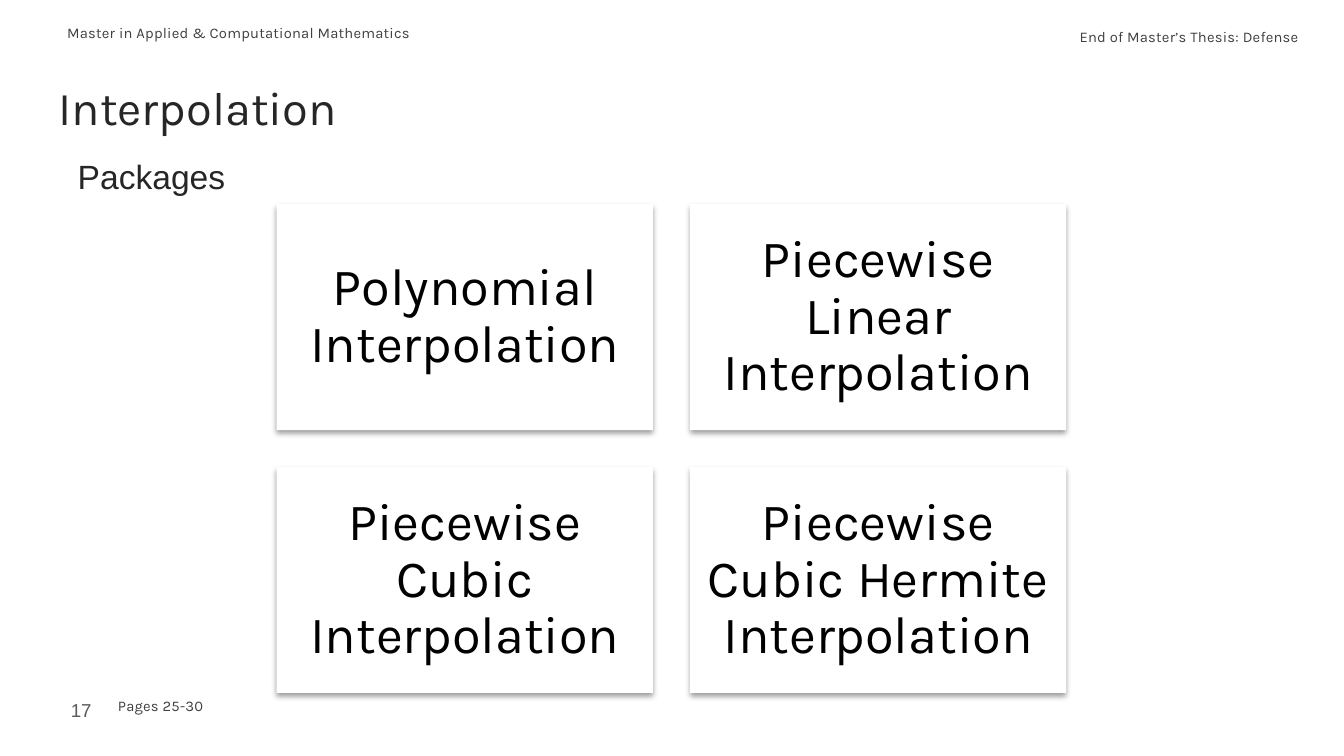
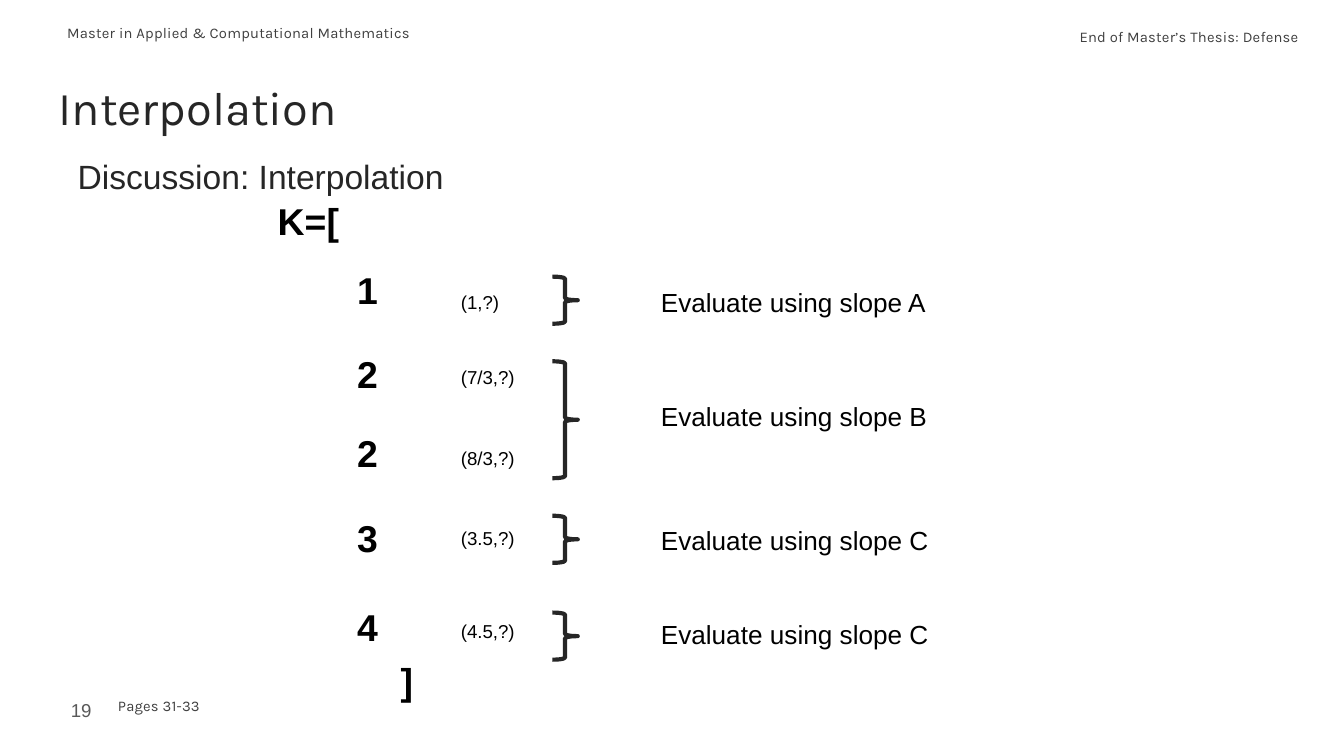
import dataclasses
import itertools

import pptx
import pptx.dml.color
import pptx.enum.shapes
import pptx.enum.text
import pptx.oxml
import pptx.oxml.ns
import pptx.presentation
import pptx.shapes.autoshape
import pptx.slide
import pptx.util

Cm = pptx.util.Cm
Pt = pptx.util.Pt
Align = pptx.enum.text.PP_ALIGN
Anchor = pptx.enum.text.MSO_ANCHOR
Preset = pptx.enum.shapes.MSO_SHAPE


@dataclasses.dataclass(frozen=True)
class TextStyle:
    size: float
    colour: str = "000000"
    font: str = "Arial"
    bold: bool = False
    tracking: float = 0
    align: Align = Align.LEFT
    anchor: Anchor = Anchor.TOP
    inset_x: float = 0.25
    inset_y: float = 0.13
    line_spacing: float = 1.0
    grow: bool = True


# Colours and type sizes
@dataclasses.dataclass(frozen=True)
class Theme:
    paper: str = "FFFFFF"
    ink: str = "262626"
    brace_width: float = 2.25
    running: TextStyle = TextStyle(7.9, "404040", "Karla", tracking=0.1, inset_y=0.25)
    running_right: TextStyle = TextStyle(7.9, "404040", "Karla", tracking=0.1,
                                         align=Align.RIGHT, inset_x=0, inset_y=0)
    number: TextStyle = TextStyle(10, "595959", align=Align.RIGHT, anchor=Anchor.MIDDLE,
                                  inset_y=0.25, grow=False)
    title: TextStyle = TextStyle(25.2, "262626", "Karla", inset_y=0.25, grow=False)
    subtitle: TextStyle = TextStyle(18, "262626")
    card: TextStyle = TextStyle(28, font="Karla", align=Align.CENTER, anchor=Anchor.MIDDLE,
                                inset_x=0.3, inset_y=0.3, line_spacing=0.9, grow=False)
    knot: TextStyle = TextStyle(20, bold=True)
    point: TextStyle = TextStyle(10)
    slope: TextStyle = TextStyle(14)


THEME = Theme()


@dataclasses.dataclass(frozen=True)
class Place:
    left: float
    top: float
    width: float
    height: float

    def lengths(self) -> tuple:
        return tuple(Cm(value) for value in dataclasses.astuple(self))


@dataclasses.dataclass(frozen=True)
class Knot:
    interval: str
    interval_top: float
    point: str
    point_top: float


@dataclasses.dataclass(frozen=True)
class Slope:
    name: str
    text_top: float
    brace_top: float
    brace_height: float = 0.89


CARDS = ("Polynomial Interpolation", "Piecewise Linear Interpolation",
         "Piecewise Cubic Interpolation", "Piecewise Cubic Hermite Interpolation")
FIRST_CARD = Place(5.23, 3.86, 7.11, 4.27)
CARD_GAP = 0.7

KNOTS = (
    Knot("1", 4.93, "(1,?)", 5.36),
    Knot("2", 6.5, "(7/3,?)", 6.78),
    Knot("2", 8.0, "(8/3,?)", 8.31),
    Knot("3", 9.6, "(3.5,?)", 9.83),
    Knot("4", 11.3, "(4.5,?)", 11.58),
)
SLOPES = (
    Slope("A", 5.28, 5.23),
    Slope("B", 7.44, 6.83, 2.21),
    Slope("C", 9.78, 9.75),
    Slope("C", 11.56, 11.58),
)


def rgb(colour: str) -> pptx.dml.color.RGBColor:
    return pptx.dml.color.RGBColor.from_string(colour)


def write(box: pptx.shapes.autoshape.Shape, text: str, style: TextStyle) -> None:
    frame = box.text_frame
    frame.word_wrap = True
    frame.vertical_anchor = style.anchor
    frame.margin_left = frame.margin_right = Cm(style.inset_x)
    frame.margin_top = frame.margin_bottom = Cm(style.inset_y)
    fit = pptx.enum.text.MSO_AUTO_SIZE
    frame.auto_size = fit.SHAPE_TO_FIT_TEXT if style.grow else fit.NONE
    para = frame.paragraphs[0]
    para.text = text
    para.alignment = style.align
    para.line_spacing = style.line_spacing
    para.font.size = Pt(style.size)
    para.font.name = style.font
    para.font.bold = style.bold
    para.font.color.rgb = rgb(style.colour)
    if style.tracking:
        defaults = para._p.pPr.find(pptx.oxml.ns.qn("a:defRPr"))
        defaults.set("spc", str(round(style.tracking * 100)))


def add_text(page: pptx.slide.Slide, place: Place, text: str, style: TextStyle) -> None:
    write(page.shapes.add_textbox(*place.lengths()), text, style)


def add_card(page: pptx.slide.Slide, place: Place, text: str) -> None:
    card = page.shapes.add_shape(Preset.RECTANGLE, *place.lengths())
    card.fill.solid()
    card.fill.fore_color.rgb = rgb(THEME.paper)
    card.line.fill.background()
    # Soft shadow straight below the card
    card.shadow.inherit = False
    effects = card._element.spPr.find(pptx.oxml.ns.qn("a:effectLst"))
    effects.append(pptx.oxml.parse_xml(
        f'<a:outerShdw {pptx.oxml.ns.nsdecls("a")} blurRad="40000" dist="20000" '
        'dir="5400000" rotWithShape="0"><a:srgbClr val="000000">'
        '<a:alpha val="38000"/></a:srgbClr></a:outerShdw>'))
    write(card, text, THEME.card)


def add_brace(page: pptx.slide.Slide, place: Place) -> None:
    brace = page.shapes.add_shape(Preset.RIGHT_BRACE, *place.lengths())
    brace.shadow.inherit = False
    brace.fill.background()
    brace.line.color.rgb = rgb(THEME.ink)
    brace.line.width = Pt(THEME.brace_width)


def add_page(deck: pptx.presentation.Presentation, number: int, subtitle: str,
             pages: str) -> pptx.slide.Slide:
    page = deck.slides.add_slide(deck.slide_layouts[6])
    page.background.fill.solid()
    page.background.fill.fore_color.rgb = rgb(THEME.paper)
    # Running heads
    add_text(page, Place(1.02, 0.28, 9.3, 0.84),
             "Master in Applied & Computational Mathematics", THEME.running)
    add_text(page, Place(19.71, 0.53, 4.83, 0.36),
             "End of Master’s Thesis: Defense", THEME.running_right)
    # Titles
    add_text(page, Place(0.86, 1.24, 23.67, 1.6), "Interpolation", THEME.title)
    add_text(page, Place(1.22, 2.82, 7.54, 1.02), subtitle, THEME.subtitle)
    # Footer
    add_text(page, Place(0.46, 12.88, 1.52, 1.09), str(number), THEME.number)
    add_text(page, Place(1.98, 13, 2.59, 0.84), f"Pages {pages}", THEME.running)
    return page


def build_packages(deck: pptx.presentation.Presentation) -> None:
    page = add_page(deck, 17, "Packages", "25-30")
    first = FIRST_CARD
    for (row, column), text in zip(itertools.product(range(2), repeat=2), CARDS):
        place = dataclasses.replace(
            first,
            left=first.left + column * (first.width + CARD_GAP),
            top=first.top + row * (first.height + CARD_GAP))
        add_card(page, place, text)


def build_discussion(deck: pptx.presentation.Presentation) -> None:
    page = add_page(deck, 19, "Discussion: Interpolation", "31-33")
    # Vector of intervals with its points
    add_text(page, Place(5, 3.61, 1.93, 1.12), "K=[", THEME.knot)
    for knot in KNOTS:
        add_text(page, Place(6.5, knot.interval_top, 0.9, 1.12), knot.interval, THEME.knot)
        add_text(page, Place(8.46, knot.point_top, 1.65, 0.69), knot.point, THEME.point)
    add_text(page, Place(7.32, 12.32, 0.9, 1.12), "]", THEME.knot)
    # Slope used for each group of points
    for slope in SLOPES:
        add_brace(page, Place(10.44, slope.brace_top, 0.48, slope.brace_height))
        add_text(page, Place(12.24, slope.text_top, 6.2, 0.86),
                 f"Evaluate using slope {slope.name}", THEME.slope)


def main() -> None:
    deck = pptx.Presentation()
    deck.slide_width, deck.slide_height = Cm(25.4), Cm(14.29)
    build_packages(deck)
    build_discussion(deck)
    deck.save("out.pptx")


if __name__ == "__main__":
    main()
